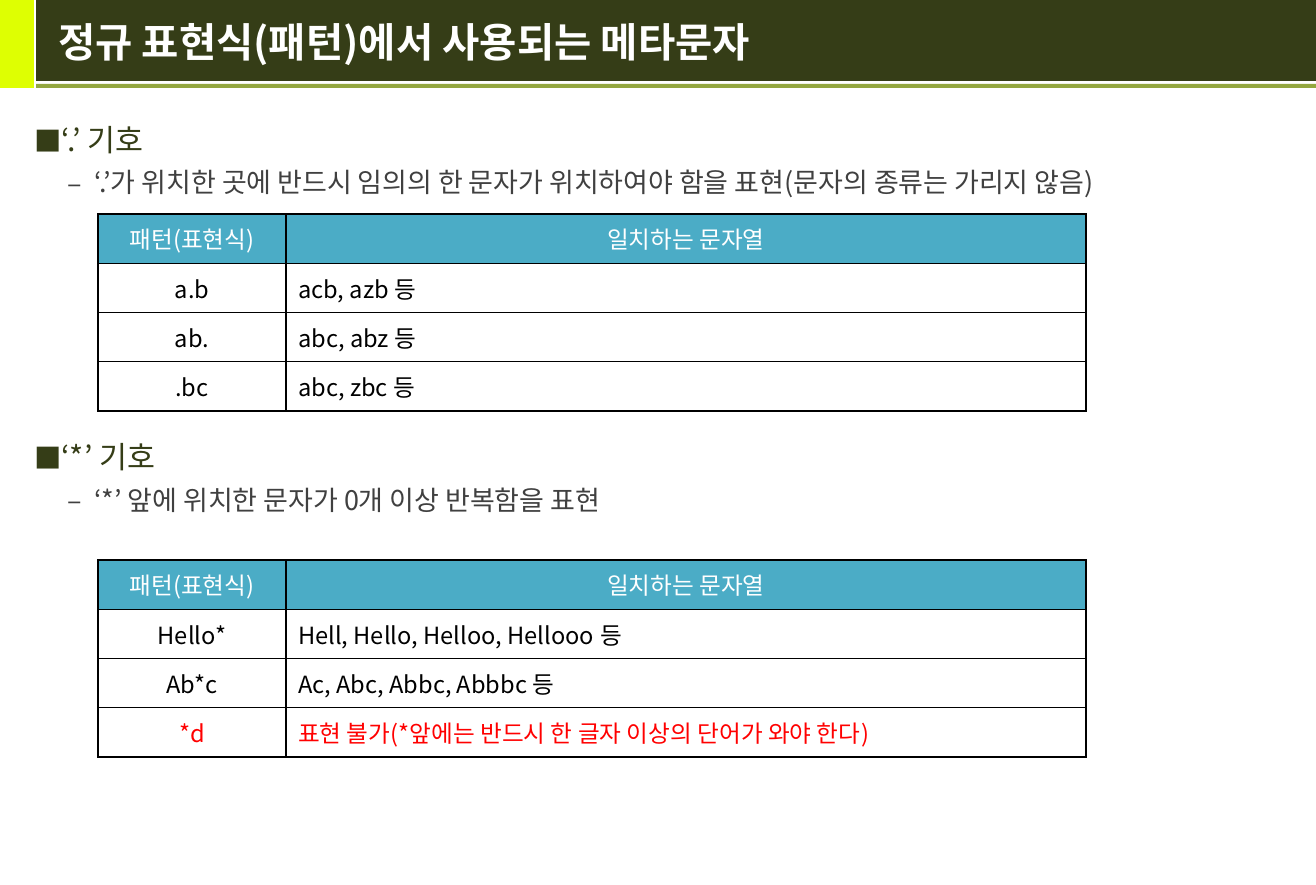
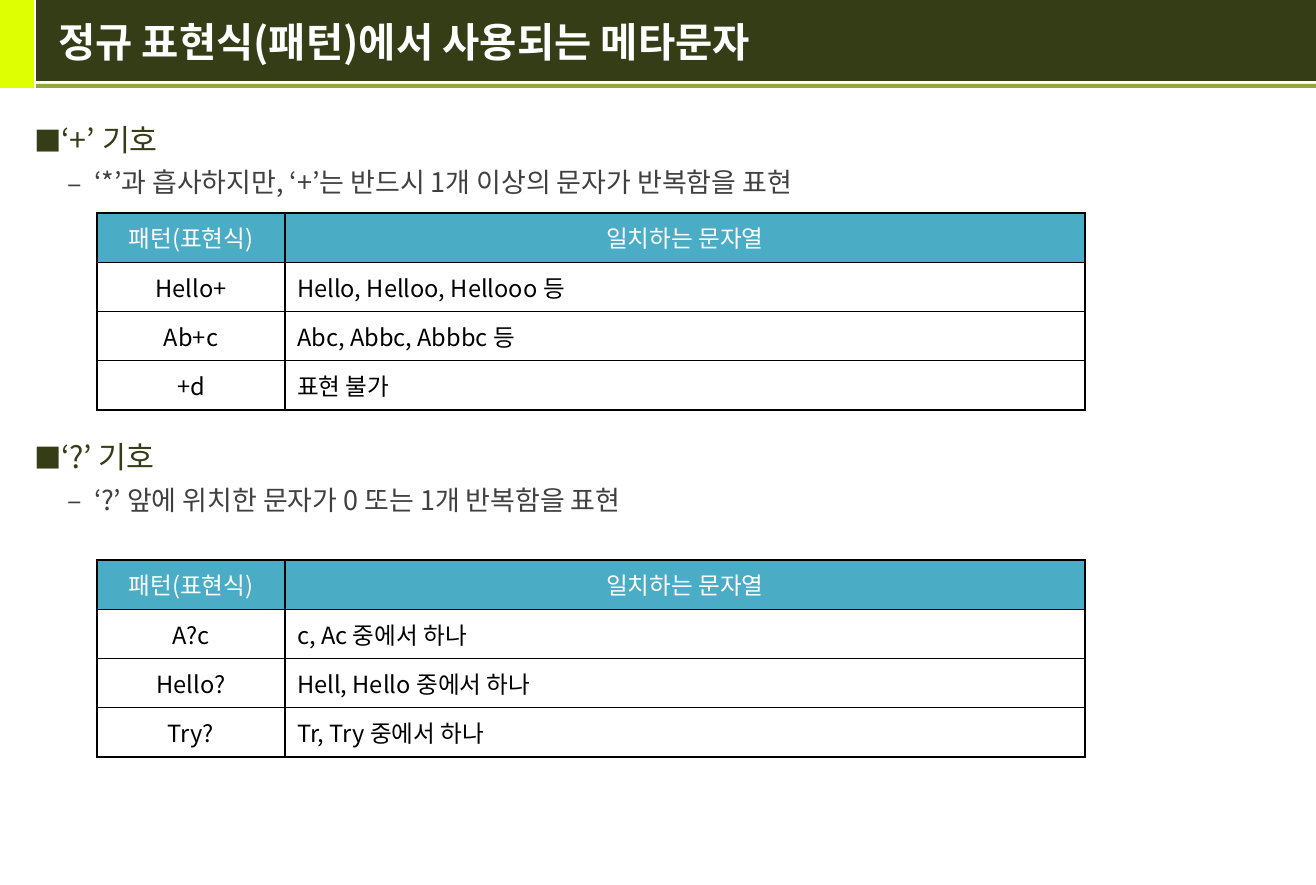
from lxml.etree import SubElement
from pptx import Presentation
from pptx.dml.color import RGBColor
from pptx.enum.shapes import MSO_SHAPE as Shape
from pptx.enum.text import MSO_ANCHOR as Anchor, MSO_AUTO_SIZE as AutoSize, PP_ALIGN as Align
from pptx.oxml import parse_xml
from pptx.oxml.ns import nsdecls, qn
from pptx.util import Pt

PX = 7526  # EMU in one px
FONT = "Noto Sans CJK KR"
COLORS = {
    "lime": "DEFF02", "dark": "353D17", "olive": "93A73F", "gray": "404040",
    "header": "4BACC6", "white": "FFFFFF", "black": "000000", "red": "FF0000",
}
TITLE = "정규 표현식(패턴)에서 사용되는 메타문자"
HEADER = ("패턴(표현식)", "일치하는 문자열")
COLUMNS = (188, 800)
TABLE_HEIGHT = 197
BANDS = [
    (0, 0, 34, 88, "lime"),
    (36, 0, 1280, 81, "dark"),
    (36, 84, 1280, 4, "olive"),
]
# Bullet sign, size in %, left margin, hanging indent, font size, colour
LEVELS = [
    ("■", 90, 24, 24, 18, "dark"),
    ("–", 100, 60, 27, 16, "gray"),
]
TOPIC_GAP = 138  # pt above the second topic, leaving room for the first table

# Each page: left edge of its tables, then topics of
# (heading, explanation, top of table, rows, patterns shown in red)
PAGES = [
    (98, [
        ("‘.’ 기호", "‘.’가 위치한 곳에 반드시 임의의 한 문자가 위치하여야 함을 표현(문자의 종류는 가리지 않음)", 214,
         [("a.b", "acb, azb 등"), ("ab.", "abc, abz 등"), (".bc", "abc, zbc 등")], ()),
        ("‘*’ 기호", "‘*’ 앞에 위치한 문자가 0개 이상 반복함을 표현", 560,
         [("Hello*", "Hell, Hello, Helloo, Hellooo 등"),
          ("Ab*c", "Ac, Abc, Abbc, Abbbc 등"),
          ("*d", "표현 불가(*앞에는 반드시 한 글자 이상의 단어가 와야 한다)")], ("*d",)),
    ]),
    (97, [
        ("‘+’ 기호", "‘*’과 흡사하지만, ‘+’는 반드시 1개 이상의 문자가 반복함을 표현", 213,
         [("Hello+", "Hello, Helloo, Hellooo 등"), ("Ab+c", "Abc, Abbc, Abbbc 등"),
          ("+d", "표현 불가")], ()),
        ("‘?’ 기호", "‘?’ 앞에 위치한 문자가 0 또는 1개 반복함을 표현", 560,
         [("A?c", "c, Ac 중에서 하나"), ("Hello?", "Hell, Hello 중에서 하나"),
          ("Try?", "Tr, Try 중에서 하나")], ()),
    ]),
]


def write(paragraph, text, size=14, color="black", bold=False, align=Align.LEFT):
    paragraph.alignment = align
    run = paragraph.add_run()
    run.text = text
    run.font.size = Pt(size)
    run.font.bold = bold
    run.font.name = FONT
    run.font.color.rgb = RGBColor.from_string(COLORS[color])
    SubElement(run.font._element, qn("a:ea"), typeface=FONT)


def border(cell):
    """Draw a black 1 pt line on all four sides of the cell."""
    properties = cell._tc.get_or_add_tcPr()
    for index, side in enumerate(("lnL", "lnR", "lnT", "lnB")):
        properties.insert(index, parse_xml(
            f'<a:{side} {nsdecls("a")} w="{Pt(1)}"><a:solidFill>'
            f'<a:srgbClr val="{COLORS["black"]}"/></a:solidFill></a:{side}>'))


prs = Presentation()
prs.slide_width, prs.slide_height = 1316 * PX, 885 * PX
layout = prs.slide_layouts[1]
slides = [prs.slides.add_slide(layout) for _ in PAGES]

# The layout holds the bands and the places of title and body
for index, (left, top, width, height, color) in enumerate(BANDS):
    band = slides[0].shapes.add_shape(
        Shape.RECTANGLE, left * PX, top * PX, width * PX, height * PX)
    band.shadow.inherit = False
    band.fill.solid()
    band.fill.fore_color.rgb = RGBColor.from_string(COLORS[color])
    band.line.fill.background()
    layout.shapes.element.insert(2 + index, band.element)

for holder, place in zip(layout.placeholders, [(46, 0, 1254, 82), (22, 108, 1258, 756)]):
    holder.left, holder.top, holder.width, holder.height = [v * PX for v in place]

for slide, (table_left, topics) in zip(slides, PAGES):
    title = slide.shapes.title.text_frame
    title.auto_size = AutoSize.NONE
    title.vertical_anchor = Anchor.MIDDLE
    write(title.paragraphs[0], TITLE, size=24, color="white", bold=True)

    body = slide.placeholders[1].text_frame
    body.auto_size = AutoSize.NONE
    for number, (heading, explanation, table_top, rows, red_patterns) in enumerate(topics):
        for level, text in enumerate((heading, explanation)):
            sign, sign_size, margin, hanging, size, color = LEVELS[level]
            first = number == 0 and level == 0
            line = body.paragraphs[0] if first else body.add_paragraph()
            line.level = level
            line.line_spacing = 1.2
            line.space_before = Pt(1 if level else TOPIC_GAP * number)
            write(line, text, size=size, color=color)
            properties = line._p.get_or_add_pPr()
            properties.set("marL", str(margin * PX))
            properties.set("indent", str(-hanging * PX))
            bullet_color = SubElement(properties, qn("a:buClr"))
            SubElement(bullet_color, qn("a:srgbClr"), val=COLORS[color])
            SubElement(properties, qn("a:buSzPct"), val=str(sign_size * 1000))
            SubElement(properties, qn("a:buFont"), typeface=FONT)
            SubElement(properties, qn("a:buChar"), char=sign)

        table = slide.shapes.add_table(
            len(rows) + 1, len(COLUMNS), table_left * PX, table_top * PX,
            sum(COLUMNS) * PX, TABLE_HEIGHT * PX).table
        for column, width in zip(table.columns, COLUMNS):
            column.width = width * PX
        for r, row in enumerate([HEADER, *rows]):
            is_header = r == 0
            color = "white" if is_header else "red" if row[0] in red_patterns else "black"
            for c, text in enumerate(row):
                cell = table.cell(r, c)
                cell.vertical_anchor = Anchor.MIDDLE
                cell.fill.solid()
                cell.fill.fore_color.rgb = RGBColor.from_string(
                    COLORS["header" if is_header else "white"])
                border(cell)
                write(cell.text_frame.paragraphs[0], text, color=color,
                      align=Align.CENTER if is_header or c == 0 else Align.LEFT)

prs.save("out.pptx")
